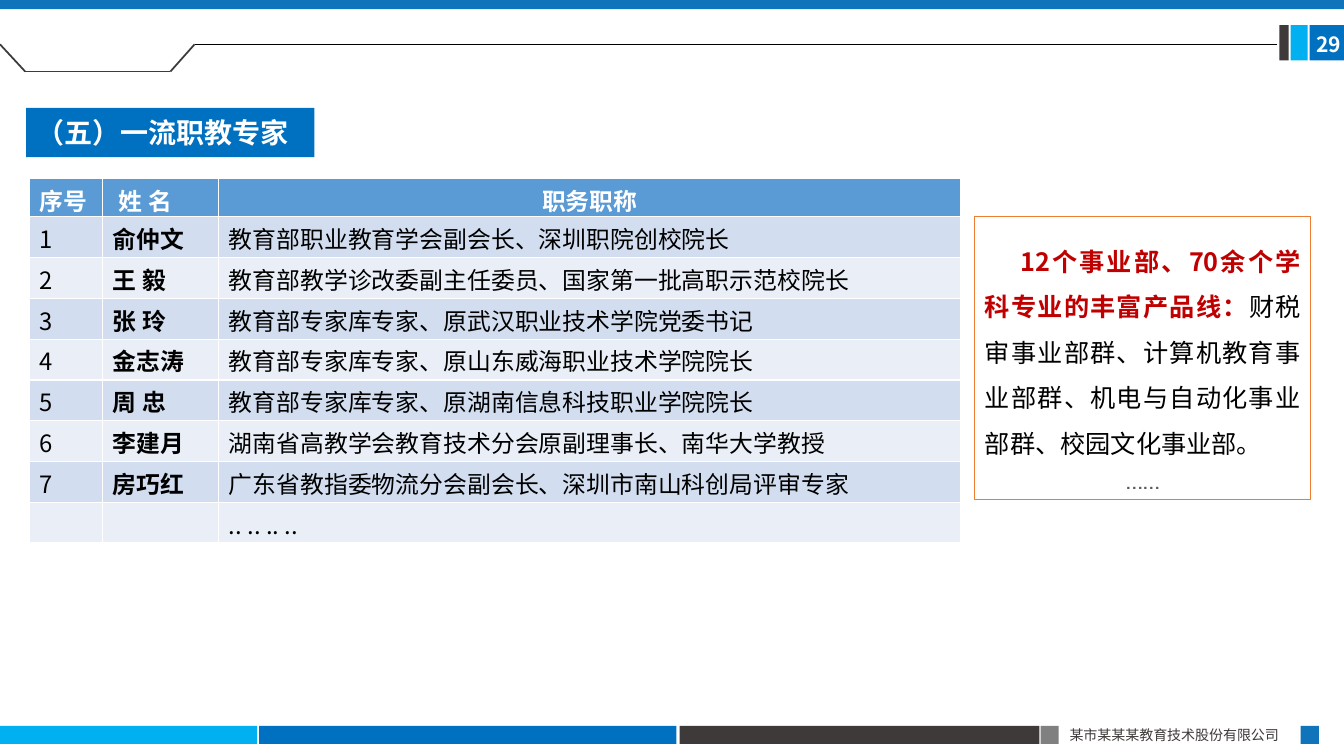
from pptx import Presentation
from pptx.dml.color import RGBColor
from pptx.enum.shapes import MSO_CONNECTOR, MSO_SHAPE
from pptx.enum.text import MSO_ANCHOR, PP_ALIGN
from pptx.oxml.ns import qn
from pptx.util import Inches, Pt

FONT = "Noto Sans CJK SC"
BLUE, CYAN, DARK, BAR = "0070C0", "00B0F0", "3E3A39", "1074BB"


def color(value):
    return RGBColor.from_string(value)


def add_run(paragraph, text, size, fill, bold=False, name=FONT):
    """Append a run whose Latin font is name and whose Chinese font is FONT."""
    run = paragraph.add_run()
    run.text = text
    run.font.size, run.font.bold, run.font.name = Pt(size), bold, name
    run.font.color.rgb = color(fill)
    east_asian = run.font._element.makeelement(qn("a:ea"), {"typeface": FONT})
    run.font._element.find(qn("a:latin")).addnext(east_asian)


presentation = Presentation()
presentation.slide_width, presentation.slide_height = Inches(13.33), Inches(7.5)
slide = presentation.slides.add_slide(presentation.slide_layouts[6])
shapes = slide.shapes

# Bars and blocks of the frame, then the section title
for left, top, width, height, fill in [
    (0, 7.2, 2.55, 0.18, CYAN),
    (2.57, 7.2, 4.14, 0.18, BLUE),
    (6.74, 7.2, 3.57, 0.18, DARK),
    (10.32, 7.2, 0.18, 0.18, "808080"),
    (12.9, 7.2, 0.18, 0.18, BAR),
    (12.99, 0.25, 0.34, 0.35, BLUE),
    (12.8, 0.25, 0.17, 0.35, CYAN),
    (12.69, 0.25, 0.09, 0.35, DARK),
    (0, 0, 13.33, 0.09, BAR),
    (0.26, 1.07, 2.86, 0.49, BLUE),
]:
    block = shapes.add_shape(MSO_SHAPE.RECTANGLE, Inches(left), Inches(top), Inches(width), Inches(height))
    block.shadow.inherit = False
    block.fill.solid()
    block.fill.fore_color.rgb = color(fill)
    block.line.fill.background()
title = block.text_frame
title.vertical_anchor = MSO_ANCHOR.MIDDLE
title.paragraphs[0].alignment = PP_ALIGN.LEFT
add_run(title.paragraphs[0], "（五）一流职教专家", 20, "FFFFFF", True, "Calibri")

# Header outline
corners = [(0, 0.44), (0.25, 0.71), (1.69, 0.71), (1.93, 0.44), (12.67, 0.44)]
for start, end in zip(corners, corners[1:]):
    line = shapes.add_connector(MSO_CONNECTOR.STRAIGHT, *map(Inches, start + end))
    is_rule = end == corners[-1]
    line.line.color.rgb = color("000000" if is_rule else DARK)
    line.line.width = Pt(0.5 if is_rule else 1.25)
    properties = line._element.spPr
    properties.append(properties.makeelement(qn("a:effectLst"), {}))

# Company name and page number
for left, top, width, height, text, size, fill, bold in [
    (10.51, 7.16, 2.4, 0.27, "某市某某某教育技术股份有限公司", 10, DARK, False),
    (12.96, 0.26, 0.5, 0.35, "29", 15, "FFFFFF", True),
]:
    label = shapes.add_textbox(Inches(left), Inches(top), Inches(width), Inches(height)).text_frame
    label.vertical_anchor = MSO_ANCHOR.MIDDLE
    add_run(label.paragraphs[0], text, size, fill, bold)

# Expert table
experts = [
    ("序号", "姓 名", "职务职称"),
    ("1", "俞仲文", "教育部职业教育学会副会长、深圳职院创校院长"),
    ("2", "王 毅", "教育部教学诊改委副主任委员、国家第一批高职示范校院长"),
    ("3", "张 玲", "教育部专家库专家、原武汉职业技术学院党委书记"),
    ("4", "金志涛", "教育部专家库专家、原山东威海职业技术学院院长"),
    ("5", "周 忠", "教育部专家库专家、原湖南信息科技职业学院院长"),
    ("6", "李建月", "湖南省高教学会教育技术分会原副理事长、南华大学教授"),
    ("7", "房巧红", "广东省教指委物流分会副会长、深圳市南山科创局评审专家"),
    ("", "", ".. .. .. .."),
]
table = shapes.add_table(len(experts), 3, Inches(0.29), Inches(1.77), Inches(9.24), Inches(3.62)).table
for column, width in zip(table.columns, (0.73, 1.15, 7.36)):
    column.width = Inches(width)
for row_index, expert in enumerate(experts):
    is_header = row_index == 0
    table.rows[row_index].height = Inches(0.38 if is_header else 0.405)
    for column_index, text in enumerate(expert):
        cell = table.cell(row_index, column_index)
        cell.margin_top, cell.margin_bottom = Inches(0.04), 0
        cell.fill.solid()
        band = "D2DEEF" if row_index % 2 else "EAEFF7"
        cell.fill.fore_color.rgb = color("5B9BD5" if is_header else band)
        paragraph = cell.text_frame.paragraphs[0]
        if text:
            add_run(paragraph, text, 17, "FFFFFF" if is_header else "000000", is_header or column_index == 1)
        else:
            paragraph.font.size = Pt(17)
table.cell(0, 1).margin_left = Inches(0.16)
table.cell(0, 2).text_frame.paragraphs[0].alignment = PP_ALIGN.CENTER

# Product line box
box = shapes.add_shape(MSO_SHAPE.RECTANGLE, Inches(9.67), Inches(2.15), Inches(3.33), Inches(2.81))
box.shadow.inherit = False
box.fill.background()
box.line.color.rgb = color("ED7D31")
box.line.width = Pt(0.75)
frame = box.text_frame
frame.word_wrap = True
frame.vertical_anchor = MSO_ANCHOR.TOP
frame.margin_top = Inches(0.14)
products = frame.paragraphs[0]
products.alignment = PP_ALIGN.JUSTIFY
products.line_spacing = Pt(32.5)
products._p.get_or_add_pPr().set("indent", str(Inches(0.35)))
add_run(products, "12个事业部、70余个学科专业的丰富产品线：", 18, "C00000", True)
add_run(products, "财税审事业部群、计算机教育事业部群、机电与自动化事业部群、校园文化事业部。", 18, "000000")
more = frame.add_paragraph()
more.alignment = PP_ALIGN.CENTER
more.line_spacing = Pt(25.6)
add_run(more, "……", 18, "595959", name="Cabin")

presentation.save("out.pptx")
